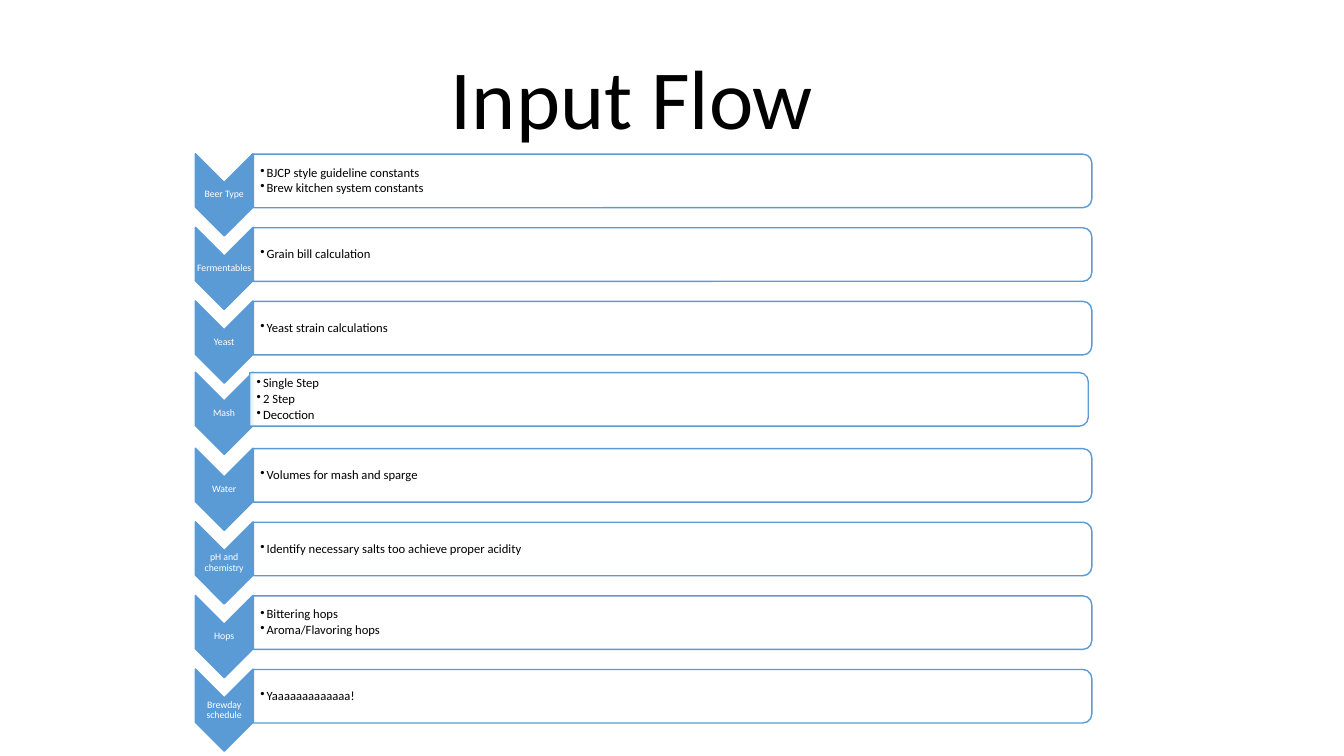
from pptx import Presentation
from pptx.dml.color import RGBColor
from pptx.enum.shapes import MSO_SHAPE as Shape
from pptx.enum.text import MSO_ANCHOR as Anchor, PP_ALIGN as Align
from pptx.oxml.ns import qn
from pptx.util import Cm, Pt
from lxml.etree import SubElement as Sub


def color(code):
    return RGBColor.from_string(code)


def write(frame, text, font="Calibri", size=9, hue="000000", align=Align.LEFT,
          anchor=Anchor.MIDDLE, inset=(0, 0, 0, 0), after=0, bullet=None):
    """Fill a text frame, one paragraph for each line of text."""
    frame.word_wrap = True
    frame.vertical_anchor = anchor
    (frame.margin_left, frame.margin_top,
     frame.margin_right, frame.margin_bottom) = map(Cm, inset)
    for i, line in enumerate(text.split("\n")):
        para = frame.paragraphs[0] if i == 0 else frame.add_paragraph()
        para.alignment = align
        para.line_spacing = 0.9
        para.space_after = Pt(after)
        run = para.add_run()
        run.text = line
        run.font.name, run.font.size = font, Pt(size)
        run.font.color.rgb = color(hue)
        if bullet:
            props = para._p.get_or_add_pPr()
            props.set("marL", str(Cm(0.16)))
            props.set("indent", str(-Cm(0.16)))
            Sub(props, qn("a:buChar")).set("char", bullet)


class Flow:
    """Style and current slide; every element is placed by its centre."""
    blue, white, black = "5B9BD5", "FFFFFF", "000000"

    def __init__(self, slide):
        self.slide = slide

    def text(self, x, y, wide, high, words, **style):
        box = self.slide.shapes.add_textbox(
            Cm(x - wide / 2), Cm(y - high / 2), Cm(wide), Cm(high))
        write(box.text_frame, words, **style)

    def turned(self, kind, x, y, wide, high, fill, alpha=None):
        """Add a preset shape turned a quarter to the right."""
        item = self.slide.shapes.add_shape(
            kind, Cm(x - wide / 2), Cm(y - high / 2), Cm(wide), Cm(high))
        item.rotation = 90
        item.shadow.inherit = False
        item.fill.solid()
        item.fill.fore_color.rgb = color(fill)
        item.line.color.rgb = color(self.blue)
        item.line.width = Pt(1)
        if alpha:
            tint = item._element.spPr.find(qn("a:solidFill"))[0]
            Sub(tint, qn("a:alpha")).set("val", str(alpha * 1000))

    def title(self, words):
        self.text(15.93, 2.17, 25.4, 3.38, words, size=60, align=Align.CENTER,
                  anchor=Anchor.BOTTOM, inset=(0.25, 0.13, 0.25, 0.13))

    def step(self, y, name, notes, shift=0):
        # Chevron and its label
        self.turned(Shape.CHEVRON, 5.65, y, 2.07, 1.45, self.blue)
        self.text(5.65, y, 1.45, 0.62, name, size=7, hue=self.white,
                  align=Align.CENTER)
        # Panel and its bullets
        mid = y - 0.35
        self.turned(Shape.ROUND_2_SAME_RECTANGLE, 16.95 + shift, mid,
                    1.35, 21.13, self.white, alpha=90)
        self.text(16.92 + shift, mid, 21.08, 1.22, notes, hue=self.black,
                  inset=(0.18, 0.02, 0.02, 0.02), after=1.35, bullet="•")


deck = Presentation()
deck.slide_width, deck.slide_height = Cm(33.87), Cm(19.05)
flow = Flow(deck.slides.add_slide(deck.slide_layouts[6]))

flow.title("Input Flow")

steps = [
    ("Beer Type", "BJCP style guideline constants\nBrew kitchen system constants"),
    ("Fermentables", "Grain bill calculation"),
    ("Yeast", "Yeast strain calculations"),
    ("Mash", "Single Step\n2 Step\nDecoction"),
    ("Water", "Volumes for mash and sparge"),
    ("pH and chemistry", "Identify necessary salts too achieve proper acidity"),
    ("Hops", "Bittering hops\nAroma/Flavoring hops"),
    ("Brewday schedule", "Yaaaaaaaaaaaaa!"),
]
# The mash row sits slightly up and its panel slightly left
nudge = {"Mash": (-0.09, -0.06)}
top, pitch = 4.91, 1.855
for row, (name, notes) in enumerate(steps):
    dx, dy = nudge.get(name, (0, 0))
    flow.step(top + row * pitch + dy, name, notes, shift=dx)

deck.save("out.pptx")
